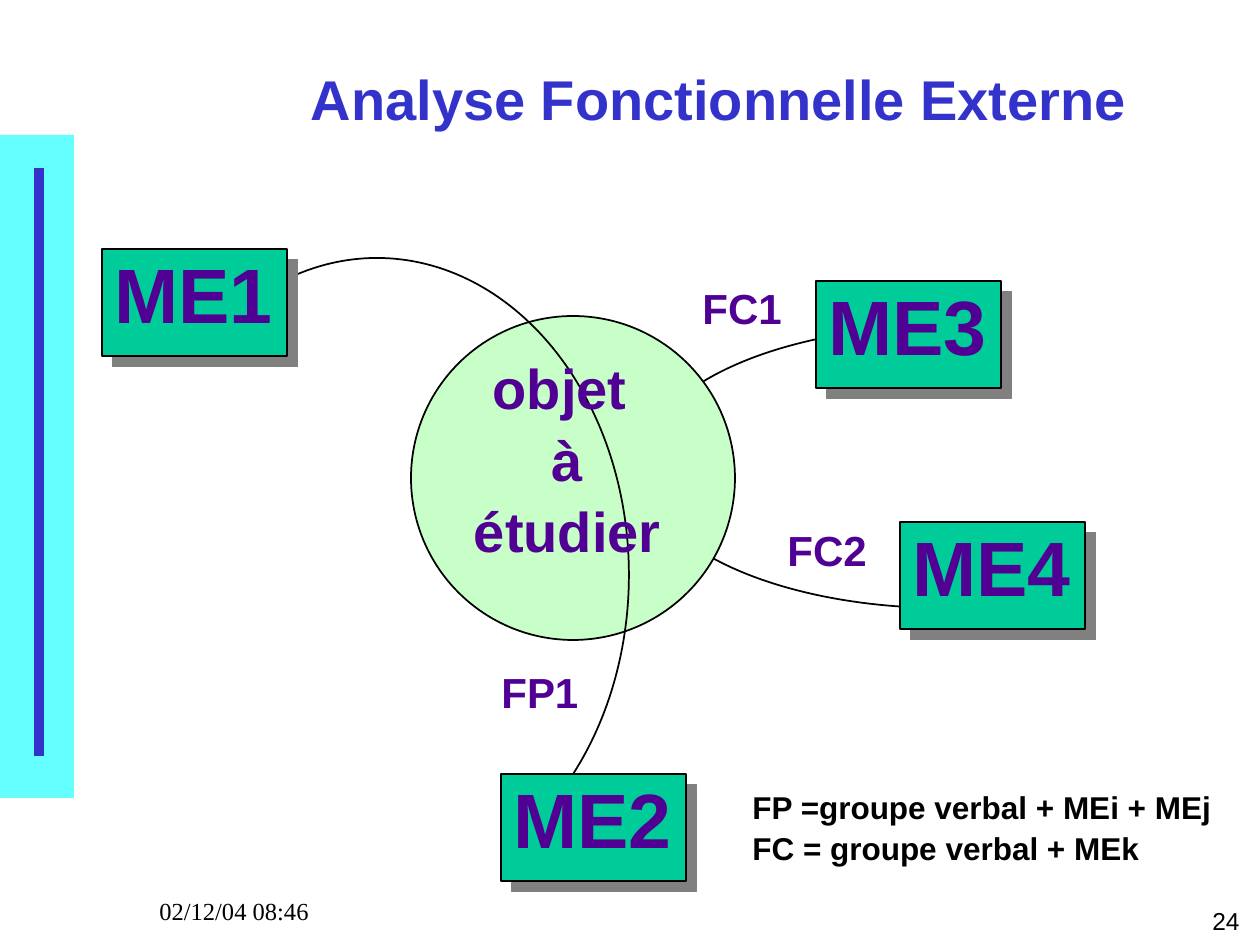
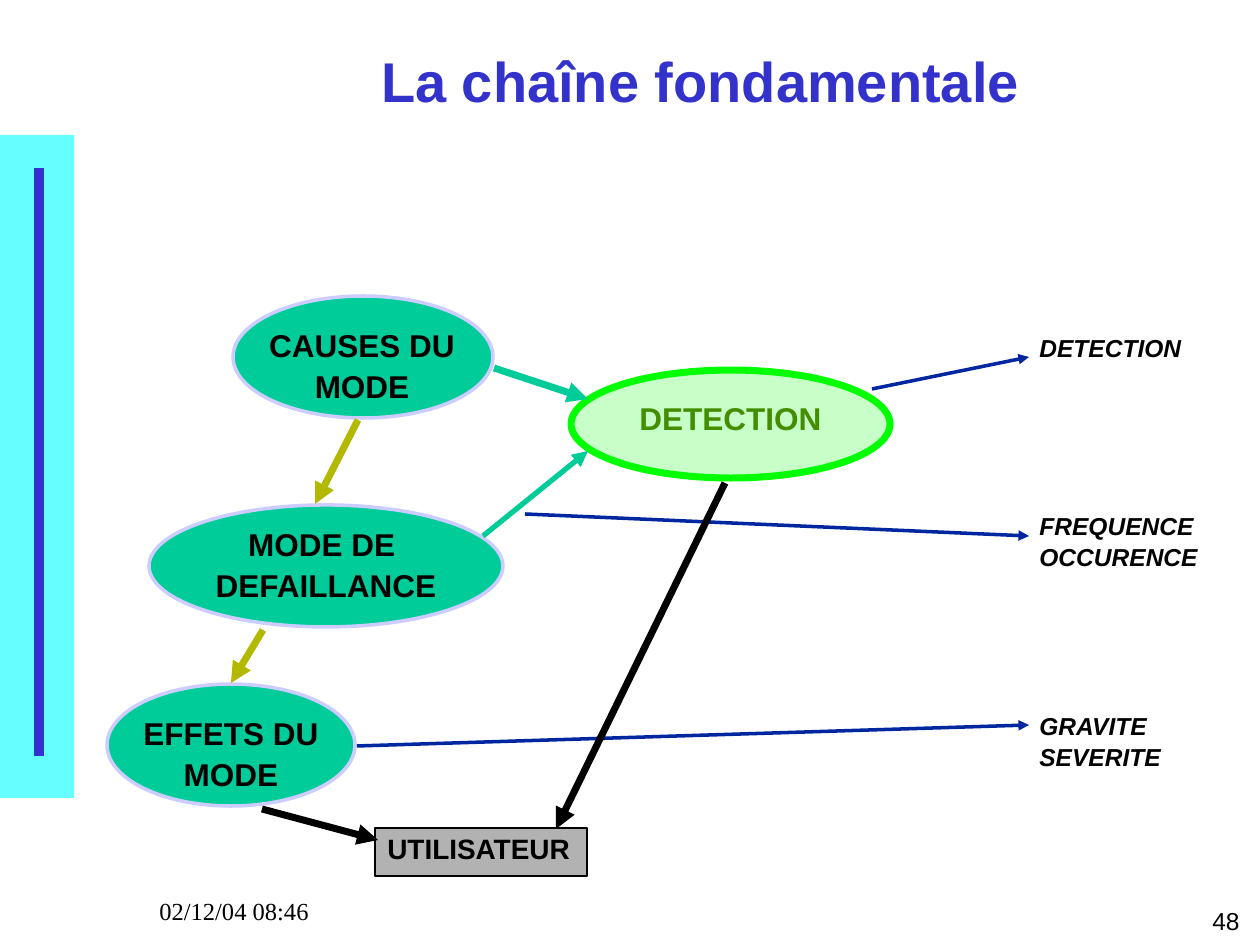
from typing import NamedTuple

from lxml.etree import SubElement
from pptx import Presentation
from pptx.dml.color import RGBColor as Rgb
from pptx.enum.shapes import MSO_CONNECTOR as Conn, MSO_SHAPE as Kind
from pptx.enum.text import MSO_ANCHOR as Anchor, PP_ALIGN as Align
from pptx.oxml.ns import qn
from pptx.util import Emu, Pt

INK = {
    "title": "3333CC", "band": "66FFFF", "black": "000000",
    "violet": "500093", "green": "00CC99", "pale": "C8FEC8",
    "shade": "808080", "lilac": "CCCCFF", "lime": "00FF00",
    "leaf": "438E00", "olive": "B3B900", "navy": "00279F", "grey": "B2B2B2",
}
SANS, SERIF = "Arial", "Times New Roman"
TIGHT, LOOSE = 0.93, 1.06  # spacing of the first and of the later lines


class Area(NamedTuple):
    left: int
    top: int
    width: int
    height: int


class Style(NamedTuple):
    size: int
    ink: str = "black"
    bold: bool = True
    slant: bool = False
    font: str = SANS
    align: Align = Align.LEFT


class Label(NamedTuple):
    area: Area
    lines: tuple[str, ...]
    style: Style
    wrap: bool = False


class Form(NamedTuple):
    area: Area
    fill: str
    edge: str
    weight: int


class Arrow(NamedTuple):
    start: tuple[int, int]
    end: tuple[int, int]
    ink: str
    weight: int


def px(value: int) -> Emu:
    return Emu(round(value * 914400 / 126))


def rgb(name: str) -> Rgb:
    return Rgb.from_string(INK[name])


def place(area: Area) -> list[Emu]:
    return [px(side) for side in area]


# Text
def write(frame, lines: tuple[str, ...], style: Style) -> None:
    for row, line in enumerate(lines):
        para = frame.add_paragraph() if row else frame.paragraphs[0]
        para.alignment = style.align
        para.line_spacing = LOOSE if row else TIGHT
        run = para.add_run()
        run.text = line
        font = run.font
        font.name, font.size = style.font, Pt(style.size)
        font.bold, font.italic = style.bold, style.slant
        font.color.rgb = rgb(style.ink)


def put_label(slide, label: Label) -> None:
    frame = slide.shapes.add_textbox(*place(label.area)).text_frame
    frame.word_wrap = label.wrap
    write(frame, label.lines, label.style)


# Shapes and lines
def put_form(slide, kind: Kind, form: Form):
    shape = slide.shapes.add_shape(kind, *place(form.area))
    shape.shadow.inherit = False
    shape.fill.solid()
    shape.fill.fore_color.rgb = rgb(form.fill)
    if form.weight:
        shape.line.color.rgb = rgb(form.edge)
        shape.line.width = Pt(form.weight)
    else:
        shape.line.fill.background()
    return shape


def put_box(slide, form: Form, text: str, style: Style):
    shape = put_form(slide, Kind.RECTANGLE, form)
    frame = shape.text_frame
    frame.word_wrap = False
    frame.vertical_anchor = Anchor.TOP
    write(frame, (text,), style)
    return shape


def put_arc(slide, area: Area, start: int, end: int) -> None:
    arc = slide.shapes.add_shape(Kind.ARC, *place(area))
    arc.shadow.inherit = False
    arc.fill.background()
    arc.line.color.rgb = rgb("black")
    arc.line.width = Pt(1)
    for spot, angle in enumerate((start, end)):
        arc.adjustments[spot] = angle * 0.6


def put_line(slide, arrow: Arrow, head: bool = True) -> None:
    ends = [px(value) for value in arrow.start + arrow.end]
    link = slide.shapes.add_connector(Conn.STRAIGHT, *ends)
    link.line.color.rgb = rgb(arrow.ink)
    link.line.width = Pt(arrow.weight)
    props = link._element.spPr
    if head:
        SubElement(props.find(qn("a:ln")), qn("a:tailEnd"), type="triangle")
    SubElement(props, qn("a:effectLst"))


def cast_shadow(shape) -> None:
    effects = shape._element.spPr.find(qn("a:effectLst"))
    outer = SubElement(effects, qn("a:outerShdw"), blurRad="0",
                       dist=str(Pt(8.5)), dir="2700000", algn="ctr",
                       rotWithShape="0")
    SubElement(outer, qn("a:srgbClr"), val=INK["shade"])


# Band, footer and title of every slide
def new_slide(deck, title: str, area: Area, number: int):
    slide = deck.slides.add_slide(deck.slide_layouts[5])
    band = Form(Area(0, 135, 74, 663), "band", "band", 0)
    put_form(slide, Kind.RECTANGLE, band)
    put_line(slide, Arrow((39, 168), (39, 756), "title", 6), head=False)
    put_label(slide, Label(Area(990, 902, 262, 40), (str(number),),
                           Style(14, bold=False, align=Align.RIGHT), True))
    put_label(slide, Label(Area(147, 892, 262, 40), ("02/12/04 08:46",),
                           Style(14, bold=False, font=SERIF), True))
    head = slide.shapes.title
    head.left, head.top, head.width, head.height = place(area)
    head.text_frame.vertical_anchor = Anchor.MIDDLE
    write(head.text_frame, (title,), Style(32, "title", align=Align.CENTER))
    return slide


# Slide 24: the object and its outer elements
def draw_object(deck) -> None:
    slide = new_slide(deck, "Analyse Fonctionnelle Externe",
                      Area(178, 49, 1082, 106), 24)
    put_arc(slide, Area(641, 326, 607, 282), 90, 270)
    put_form(slide, Kind.OVAL,
             Form(Area(411, 316, 324, 324), "pale", "black", 1))
    put_arc(slide, Area(125, 258, 504, 634), 246, 59)

    spots = {"ME1": (102, 249), "ME2": (501, 774),
             "ME3": (816, 281), "ME4": (900, 522)}
    for name, spot in spots.items():
        form = Form(Area(*spot, 185, 107), "green", "black", 1)
        cast_shadow(put_box(slide, form, name, Style(44, "violet")))

    tag = Style(24, "violet")
    for label in (
        Label(Area(489, 665, 102, 59), ("FP1",), tag),
        Label(Area(775, 523, 105, 59), ("FC2",), tag),
        Label(Area(690, 281, 105, 59), ("FC1",), tag),
        Label(Area(461, 353, 213, 209), ("objet ", "à", "étudier"),
              Style(32, "violet", align=Align.CENTER)),
        Label(Area(740, 785, 485, 86),
              ("FP =groupe verbal + MEi + MEj", "FC = groupe verbal + MEk"),
              Style(18)),
    ):
        put_label(slide, label)


# Slide 48: from causes to the user
def draw_chain(deck) -> None:
    slide = new_slide(deck, "La chaîne fondamentale",
                      Area(165, 42, 1071, 84), 48)
    for form in (
        Form(Area(571, 370, 319, 108), "pale", "lime", 4),
        Form(Area(107, 684, 248, 122), "green", "lilac", 2),
        Form(Area(149, 505, 354, 122), "green", "lilac", 2),
        Form(Area(233, 296, 260, 122), "green", "lilac", 2),
    ):
        put_form(slide, Kind.OVAL, form)
    put_box(slide, Form(Area(375, 828, 212, 48), "grey", "black", 1),
            "UTILISATEUR", Style(16))

    step, score = Style(18, align=Align.CENTER), Style(14, slant=True)
    for label in (
        Label(Area(256, 323, 212, 86), ("CAUSES DU", "MODE"), step),
        Label(Area(202, 522, 248, 86), ("MODE DE ", "DEFAILLANCE"), step),
        Label(Area(131, 711, 200, 86), ("EFFETS DU", "MODE"), step),
        Label(Area(627, 396, 208, 48), ("DETECTION",), Style(18, "leaf")),
        Label(Area(1027, 329, 168, 40), ("DETECTION",), score),
        Label(Area(1027, 507, 184, 69), ("FREQUENCE", "OCCURENCE"), score),
        Label(Area(1027, 707, 147, 69), ("GRAVITE", "SEVERITE"), score),
    ):
        put_label(slide, label)

    for arrow in (
        Arrow((358, 420), (315, 504), "olive", 4),
        Arrow((263, 630), (231, 683), "olive", 4),
        Arrow((494, 368), (588, 399), "green", 4),
        Arrow((483, 536), (588, 451), "green", 3),
        Arrow((872, 389), (1029, 357), "navy", 2),
        Arrow((525, 514), (1029, 536), "navy", 2),
        Arrow((357, 746), (1029, 725), "navy", 2),
        Arrow((262, 809), (378, 840), "black", 4),
        Arrow((725, 483), (556, 829), "black", 4),
    ):
        put_line(slide, arrow)


def main() -> None:
    deck = Presentation()
    deck.slide_width, deck.slide_height = px(1260), px(945)
    draw_object(deck)
    draw_chain(deck)
    deck.save("out.pptx")


if __name__ == "__main__":
    main()
